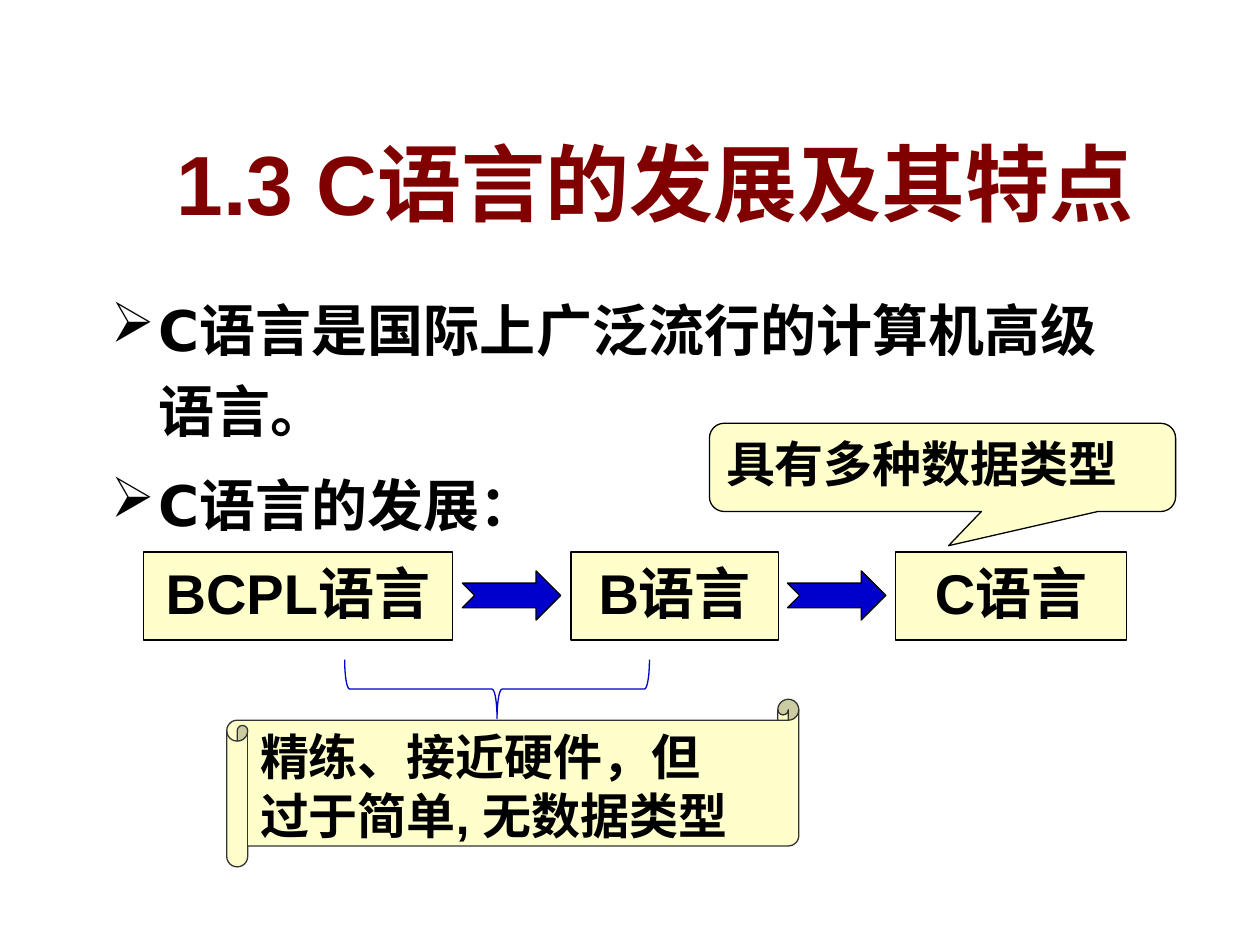
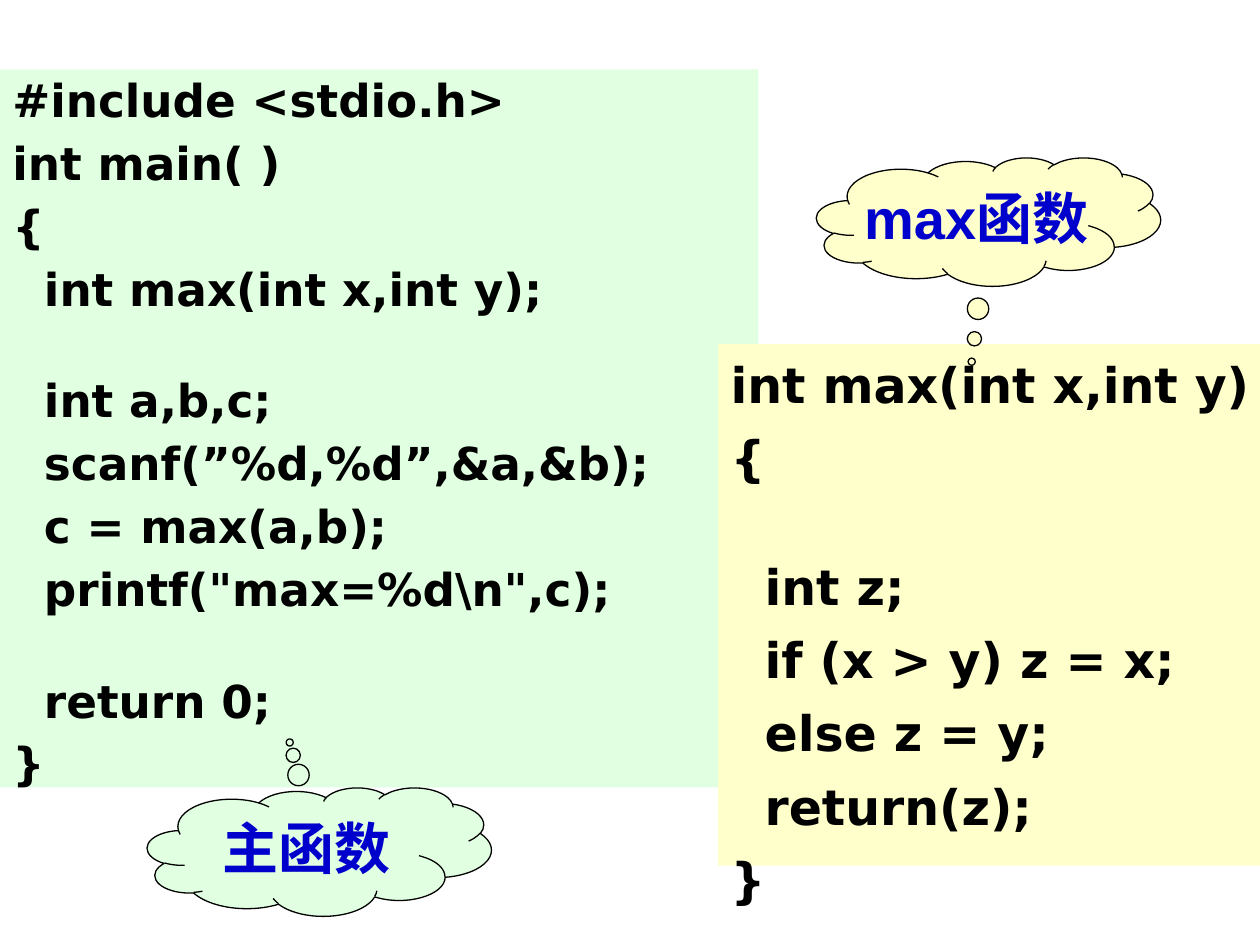
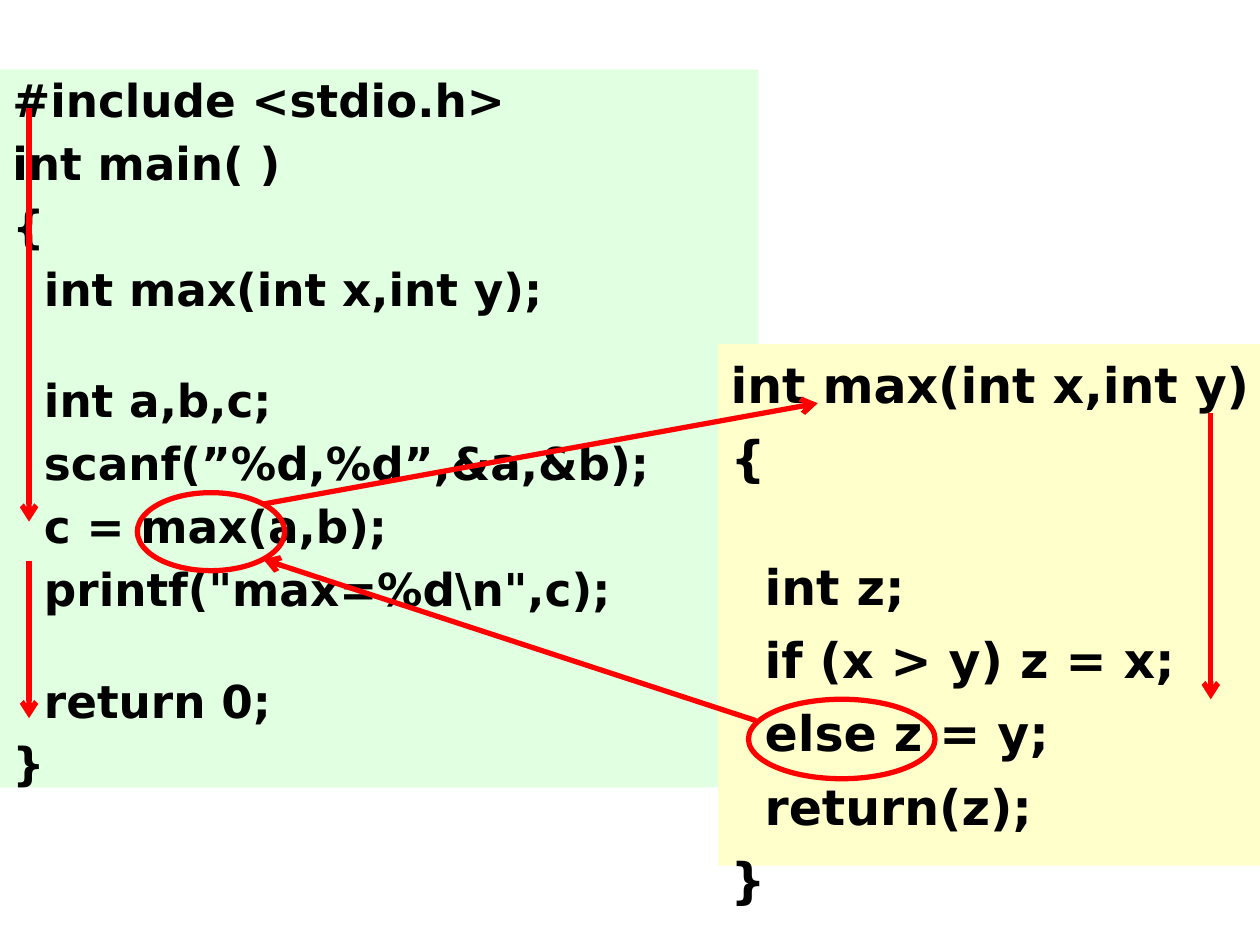
from pptx import Presentation
from pptx.dml.color import RGBColor as RGB
from pptx.enum.shapes import MSO_CONNECTOR as LINE, MSO_SHAPE as KIND
from pptx.enum.text import MSO_ANCHOR as ANCHOR, PP_ALIGN as ALIGN
from pptx.oxml import parse_xml
from pptx.oxml.ns import nsdecls, qn
from pptx.util import Pt

BLACK = RGB(0, 0, 0)
GREY = RGB(0x33, 0x33, 0x33)
MAROON = RGB(0x80, 0, 0)
BLUE = RGB(0, 0, 0xCC)
RED = RGB(0xFF, 0, 0)
CREAM = RGB(0xFF, 0xFF, 0xCC)
MINT = RGB(0xE1, 0xFF, 0xE1)
SANS, MONO = "Arial", "DejaVu Sans"
HANG = 27.4

MAIN = r"""#include <stdio.h>
int main( )
{
  int max(int x,int y);

  int a,b,c;
  scanf(”%d,%d”,&a,&b);
  c = max(a,b);
  printf("max=%d\n",c);

  return 0;
}"""

MAX = """int max(int x,int y)
{

  int z;
  if (x > y) z = x;
  else z = y;
  return(z);
}"""


def xml(body):
    """Make one drawing element from its tag text."""
    tag, rest = body.split(" ", 1)
    return parse_xml(f"<a:{tag} {nsdecls('a')} {rest}")


def write(shape, text, size=32, font=SANS, color=BLACK, align=ALIGN.LEFT, wrap=True,
          anchor=ANCHOR.TOP, top=3.6, space=0, lead=None, blank=0, hang=0,
          bullet=None, shade=False):
    """Fill a shape with text; an empty line adds blank points to the next gap."""
    frame = shape.text_frame
    frame.word_wrap, frame.vertical_anchor = wrap, anchor
    frame.margin_left = frame.margin_right = Pt(7.2)
    frame.margin_top, frame.margin_bottom = Pt(top), Pt(3.6)
    gap, para = 0, None
    for line in text.split("\n"):
        if not line:
            gap += blank
            continue
        if para is None:
            para = frame.paragraphs[0]
        else:
            para = frame.add_paragraph()
            para.space_before = Pt(space + gap)
        gap = 0
        para.alignment = align
        if lead:
            para.line_spacing = lead
        props = para._p.get_or_add_pPr()
        if hang:
            props.set("marL", str(Pt(hang)))
            props.set("indent", str(-Pt(hang)))
        if bullet:
            props.append(xml(f'buClr ><a:srgbClr val="{color}"/></a:buClr>'))
            props.append(xml(f'buChar char="{bullet}"/>'))
        run = para.add_run()
        run.text = line
        run.font.size, run.font.name, run.font.bold = Pt(size), font, True
        run.font.color.rgb = color
        if shade:
            run._r.rPr.find(qn("a:solidFill")).addnext(xml(
                'effectLst ><a:outerShdw dist="35921" dir="2700000">'
                '<a:srgbClr val="C0C0C0"/></a:outerShdw></a:effectLst>'))


class Deck:
    def __init__(self):
        self.prs = Presentation()
        self.prs.slide_width, self.prs.slide_height = Pt(720), Pt(540)
        self.slide = None

    def page(self):
        self.slide = self.prs.slides.add_slide(self.prs.slide_layouts[6])

    def label(self, box, text, **style):
        write(self.slide.shapes.add_textbox(*map(Pt, box)), text, **style)

    def shape(self, kind, box, fill=None, line=BLACK, width=0.75, adj=(), turn=0,
              text=None, **style):
        item = self.slide.shapes.add_shape(kind, *map(Pt, box))
        item.shadow.inherit = False
        item.rotation = turn
        for i, value in enumerate(adj):
            item.adjustments[i] = value
        if fill is None:
            item.fill.background()
        else:
            item.fill.solid()
            item.fill.fore_color.rgb = fill
        if line is None:
            item.line.fill.background()
        else:
            item.line.color.rgb, item.line.width = line, Pt(width)
        if text:
            write(item, text, **style)

    def cloud(self, box, fill, adj, text):
        self.shape(KIND.CLOUD_CALLOUT, box, fill, adj=adj, text=text, color=BLUE,
                   align=ALIGN.CENTER, wrap=False)

    def ring(self, box):
        self.shape(KIND.FLOWCHART_CONNECTOR, box, line=RED, width=3)

    def arrow(self, *ends):
        item = self.slide.shapes.add_connector(LINE.STRAIGHT, *map(Pt, ends))
        item.line.color.rgb, item.line.width = RED, Pt(3)
        item.line._get_or_add_ln().append(xml('tailEnd type="arrow"/>'))
        item._element.spPr.append(xml("effectLst />"))

    def code(self):
        """The two overlapping listings."""
        self.shape(KIND.RECTANGLE, (0, 39.6, 433.4, 410.4), MINT, None, text=MAIN,
                   size=25.9, font=MONO, top=5.3, space=7.9, lead=0.9, blank=28,
                   hang=HANG)
        self.shape(KIND.RECTANGLE, (410.4, 196.6, 323.3, 298), CREAM, None, text=MAX,
                   size=28, font=MONO, top=6.1, space=8.2, blank=31.7, hang=HANG)


def origin(deck):
    deck.page()
    deck.label((73.4, 61.9, 601.9, 74.2), "1.3 C语言的发展及其特点", size=48, color=MAROON,
               align=ALIGN.CENTER, anchor=ANCHOR.BOTTOM, shade=True)
    deck.label((56.2, 157.7, 601.2, 168.5),
               "C语言是国际上广泛流行的计算机高级语言。\nC语言的发展：",
               font=MONO, lead=1.2, space=8, hang=HANG, bullet="➢")
    # Chain of languages
    for left, width, name in ((82, 176.5, "BCPL语言"), (326.2, 118.8, "B语言"),
                              (511.9, 131.8, "C语言")):
        deck.shape(KIND.FLOWCHART_PROCESS, (left, 315.4, width, 50.4), CREAM, text=name,
                   align=ALIGN.CENTER, wrap=False)
    for left in (264.2, 450):
        deck.shape(KIND.NOTCHED_RIGHT_ARROW, (left, 326.2, 56.2, 28.1), BLUE)
    # Remarks
    deck.shape(KIND.RIGHT_BRACE, (267.1, 306.7, 33.8, 174.2), line=BLUE, turn=90)
    deck.shape(KIND.HORIZONTAL_SCROLL, (129.6, 399.6, 326.9, 95.8), CREAM, GREY,
               adj=(0.125,), text="精练、接近硬件，但\n过于简单, 无数据类型", size=28)
    deck.shape(KIND.ROUNDED_RECTANGULAR_CALLOUT, (405.4, 241.9, 266.4, 50.4), CREAM,
               adj=(0.013, 0.888, 0.167), text="具有多种数据类型", size=28)


def parts(deck):
    deck.page()
    deck.code()
    deck.cloud((84.2, 450, 196.6, 73.4), MINT, (-0.086, -0.851), "主函数")
    deck.cloud((466.6, 90, 196.6, 73.4), CREAM, (-0.049, 1.09), "max函数")


def flow(deck):
    deck.page()
    deck.code()
    # Call
    deck.arrow(16.6, 61.9, 16.6, 298.1)
    deck.ring((78.5, 281.5, 84.2, 44.6))
    deck.arrow(150.5, 288, 467.3, 230.4)
    # Return
    deck.arrow(691.9, 236.2, 691.9, 399.6)
    deck.ring((427.7, 399.6, 106.6, 45.4))
    deck.arrow(432, 411.8, 150.5, 319.7)
    deck.arrow(16.6, 320.4, 16.6, 410.4)


def main():
    deck = Deck()
    for build in (origin, parts, flow):
        build(deck)
    deck.prs.save("out.pptx")


if __name__ == "__main__":
    main()
